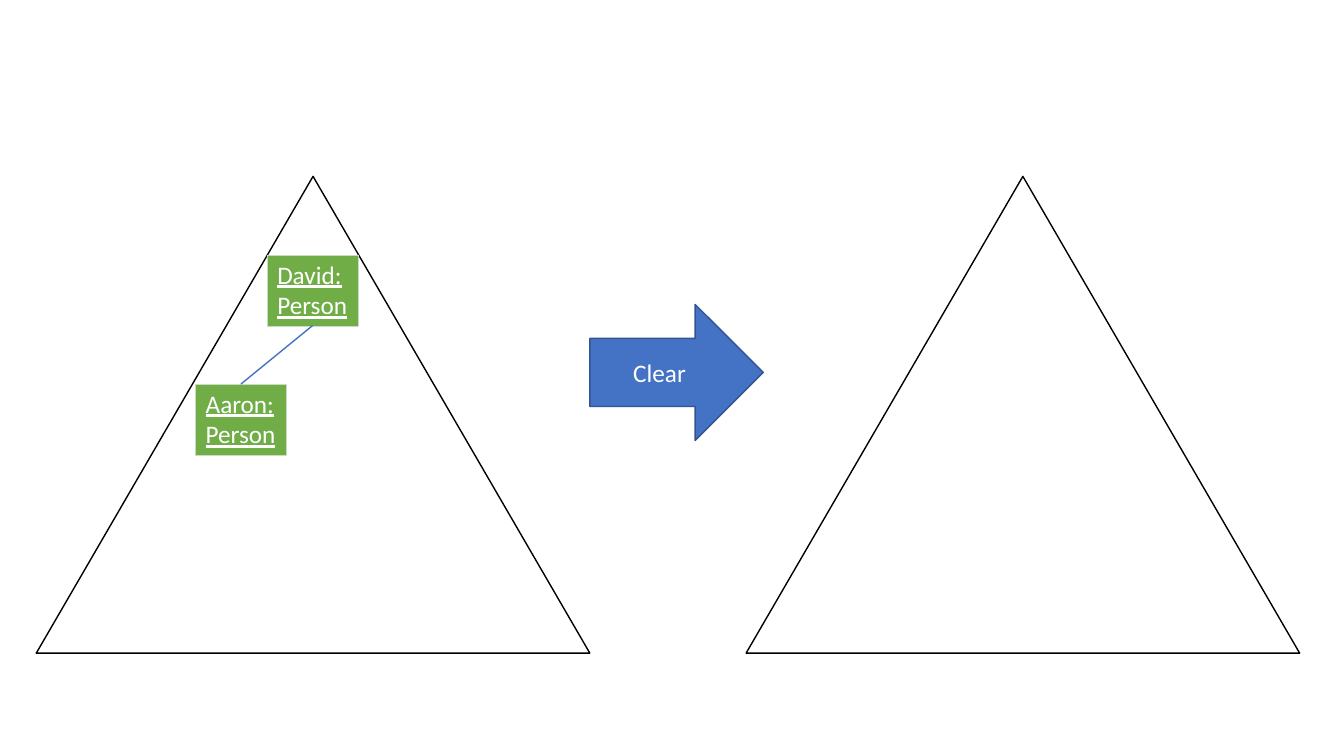
from dataclasses import dataclass

from lxml.etree import SubElement
from pptx import Presentation
from pptx.dml.color import RGBColor
from pptx.enum.shapes import MSO_CONNECTOR as Connector, MSO_SHAPE as Preset
from pptx.enum.text import MSO_ANCHOR as Anchor, PP_ALIGN as Align
from pptx.oxml.ns import qn
from pptx.shapes.autoshape import Shape
from pptx.shapes.graphfrm import GraphicFrame
from pptx.slide import Slide
from pptx.text.text import TextFrame
from pptx.util import Inches, Pt

BLUE, DARK_BLUE, GREEN = "4472C4", "325491", "70AD47"
BLACK, WHITE, BORDER = "000000", "FFFFFF", "C9DBC1"
BOTTOM, TOP = 2, 0
CARD_WIDTH, CARD_HEIGHT = 0.9, 0.7
LABEL_FORMAT = {"name": "Calibri", "size": Pt(18)}


@dataclass(frozen=True)
class Outline:
    preset: Preset
    left: float
    top: float
    width: float
    height: float
    line: str
    fill: str | None = None
    label: str = ""


@dataclass(frozen=True)
class Card:
    left: float
    top: float
    lines: tuple[str, ...]


OUTLINES = [
    Outline(Preset.ISOSCELES_TRIANGLE, 0.36, 1.75, 5.49, 4.73, BLACK),
    Outline(Preset.RIGHT_ARROW, 5.85, 3.02, 1.72, 1.35, DARK_BLUE, BLUE, "Clear"),
    Outline(Preset.ISOSCELES_TRIANGLE, 7.4, 1.75, 5.49, 4.73, BLACK),
]
DAVID = Card(2.65, 2.53, ("David:", "Person"))
AARON = Card(1.94, 3.81, ("Aaron:", "Person"))


def color(value: str) -> RGBColor:
    return RGBColor.from_string(value)


def write_lines(frame: TextFrame, lines: tuple[str, ...], align: Align, underline: bool) -> None:
    frame.text = "\n".join(lines)
    for para in frame.paragraphs:
        para.alignment = align
        for span in para.runs:
            for name, value in {**LABEL_FORMAT, "underline": underline}.items():
                setattr(span.font, name, value)
            span.font.color.rgb = color(WHITE)


def draw_outline(page: Slide, outline: Outline) -> Shape:
    box = page.shapes.add_shape(
        outline.preset, Inches(outline.left), Inches(outline.top),
        Inches(outline.width), Inches(outline.height))
    box.shadow.inherit = False
    box.line.color.rgb = color(outline.line)
    box.line.width = Pt(1)
    if outline.fill:
        box.fill.solid()
        box.fill.fore_color.rgb = color(outline.fill)
    else:
        box.fill.background()
    if outline.label:
        box.text_frame.vertical_anchor = Anchor.MIDDLE
        write_lines(box.text_frame, (outline.label,), Align.CENTER, False)
    return box


def draw_card(page: Slide, card: Card) -> GraphicFrame:
    """Draw an object card as a one-cell table."""
    frame = page.shapes.add_table(
        1, 1, Inches(card.left), Inches(card.top), Inches(CARD_WIDTH), Inches(CARD_HEIGHT))
    cell = frame.table.cell(0, 0)
    write_lines(cell.text_frame, card.lines, Align.LEFT, True)
    properties = cell._tc.get_or_add_tcPr()
    for side in ("a:lnL", "a:lnR", "a:lnT", "a:lnB"):
        border = SubElement(properties, qn(side), w=str(Pt(0.5)))
        fill = SubElement(border, qn("a:solidFill"))
        SubElement(fill, qn("a:srgbClr"), val=BORDER)
    cell.fill.solid()
    cell.fill.fore_color.rgb = color(GREEN)
    return frame


def join_cards(page: Slide, parent: GraphicFrame, child: GraphicFrame) -> None:
    link = page.shapes.add_connector(Connector.STRAIGHT, 0, 0, 0, 0)
    link.begin_connect(parent, BOTTOM)
    link.end_connect(child, TOP)
    link.line.color.rgb = color(BLUE)
    link.line.width = Pt(1)
    SubElement(link._element.spPr, qn("a:effectLst"))


def main() -> None:
    deck = Presentation()
    deck.slide_width, deck.slide_height = Inches(13.33), Inches(7.5)
    page = deck.slides.add_slide(deck.slide_layouts.get_by_name("Blank"))
    for outline in OUTLINES:
        draw_outline(page, outline)
    david, aaron = (draw_card(page, card) for card in (DAVID, AARON))
    join_cards(page, david, aaron)
    deck.save("out.pptx")


if __name__ == "__main__":
    main()
